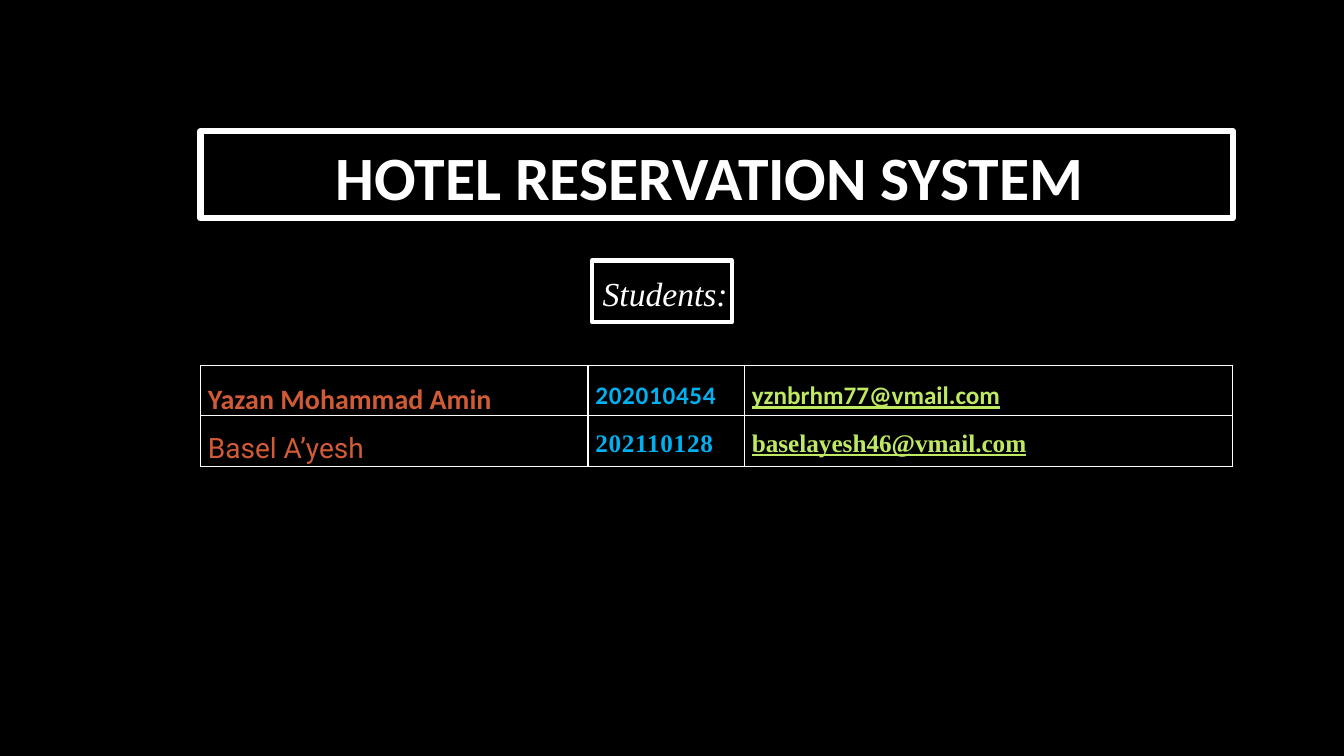
from dataclasses import dataclass

from pptx import Presentation
from pptx.dml.color import RGBColor
from pptx.enum.shapes import MSO_SHAPE as Shape
from pptx.enum.text import MSO_ANCHOR as Anchor, MSO_AUTO_SIZE as AutoSize, PP_ALIGN as Align
from pptx.oxml import parse_xml
from pptx.oxml.ns import nsdecls
from pptx.util import Pt

EMU_PER_PX = 9525
BLACK = RGBColor(0x00, 0x00, 0x00)
WHITE = RGBColor(0xFF, 0xFF, 0xFF)
ORANGE = RGBColor(0xD1, 0x5B, 0x37)
BLUE = RGBColor(0x00, 0xB0, 0xF0)
LIME = RGBColor(0xBF, 0xE9, 0x62)


@dataclass(frozen=True)
class Style:
    size: int
    name: str
    color: RGBColor
    bold: bool = False
    italic: bool = False
    underline: bool = False
    spacing: int = 0


@dataclass(frozen=True)
class Student:
    name: str
    number: str
    email: str
    name_font: str
    detail_font: str
    name_bold: bool


STUDENTS = (
    Student("Yazan Mohammad Amin", "202010454", "yznbrhm77@vmail.com", "Calibri", "Calibri", True),
    Student("Basel A’yesh", "202110128", "baselayesh46@vmail.com", "Roboto", "Times New Roman", False),
)
COLUMN_WIDTHS = (369, 149, 465)
ROW_HEIGHT = 48
CELL_INSET = 7


def px(n: int) -> int:
    return n * EMU_PER_PX


def write(tf, text: str, style: Style, line_spacing: float, align=Align.LEFT) -> None:
    p = tf.paragraphs[0]
    p.alignment = align
    p.line_spacing = line_spacing
    r = p.add_run()
    r.text = text
    font = {
        "size": Pt(style.size),
        "name": style.name,
        "bold": style.bold,
        "italic": style.italic,
        "underline": style.underline,
    }
    for key, value in font.items():
        setattr(r.font, key, value)
    r.font.color.rgb = style.color
    if style.spacing:
        r.font._element.set("spc", str(style.spacing))


def outline(sp, width: float) -> None:
    sp.fill.background()
    sp.line.color.rgb = WHITE
    sp.line.width = Pt(width)


def add_title(s) -> None:
    sp = s.shapes.add_textbox(px(191), px(125), px(983), px(83))
    outline(sp, 4.5)
    tf = sp.text_frame
    tf.word_wrap = True
    tf.vertical_anchor = Anchor.BOTTOM
    write(tf, "HOTEL RESERVATION SYSTEM ", Style(44, "Calibri", WHITE, bold=True), 0.9, Align.CENTER)


def add_students_label(s) -> None:
    frame = s.shapes.add_shape(Shape.RECTANGLE, px(564), px(248), px(133), px(59))
    frame.shadow.inherit = False
    outline(frame, 3)
    tf = s.shapes.add_textbox(px(564), px(236), px(139), px(60)).text_frame
    tf.word_wrap = False
    tf.auto_size = AutoSize.SHAPE_TO_FIT_TEXT
    write(tf, "Students:", Style(24, "Times New Roman", WHITE, italic=True), 1.5, Align.CENTER)


def format_cell(cell) -> None:
    margins = {
        "margin_left": px(CELL_INSET),
        "margin_right": px(CELL_INSET),
        "margin_top": 0,
        "margin_bottom": 0,
    }
    for key, value in margins.items():
        setattr(cell, key, value)
    tc_pr = cell._tc.get_or_add_tcPr()
    for side in ("lnL", "lnR", "lnT", "lnB"):
        tc_pr.append(parse_xml(
            f'<a:{side} {nsdecls("a")} w="{Pt(1)}"><a:solidFill>'
            f'<a:srgbClr val="{WHITE}"/></a:solidFill></a:{side}>'
        ))
    cell.fill.background()


def add_students_table(s) -> None:
    table = s.shapes.add_table(
        len(STUDENTS), len(COLUMN_WIDTHS), px(191), px(348),
        px(sum(COLUMN_WIDTHS)), px(ROW_HEIGHT * len(STUDENTS)),
    ).table
    table.first_row = False
    table.horz_banding = False
    for column, width in zip(table.columns, COLUMN_WIDTHS):
        column.width = px(width)
    for row, student in zip(table.rows, STUDENTS):
        entries = (
            (student.name, Style(20, student.name_font, ORANGE, bold=student.name_bold)),
            (student.number, Style(18, student.detail_font, BLUE, bold=True, spacing=50)),
            (student.email, Style(18, student.detail_font, LIME, bold=True, underline=True)),
        )
        for cell, (text, style) in zip(row.cells, entries):
            format_cell(cell)
            write(cell.text_frame, text, style, 1.5)


def main() -> None:
    prs = Presentation()
    prs.slide_width = px(1280)
    prs.slide_height = px(720)
    s = prs.slides.add_slide(prs.slide_layouts[6])
    s.background.fill.solid()
    s.background.fill.fore_color.rgb = BLACK
    add_title(s)
    add_students_label(s)
    add_students_table(s)
    prs.save("out.pptx")


if __name__ == "__main__":
    main()
